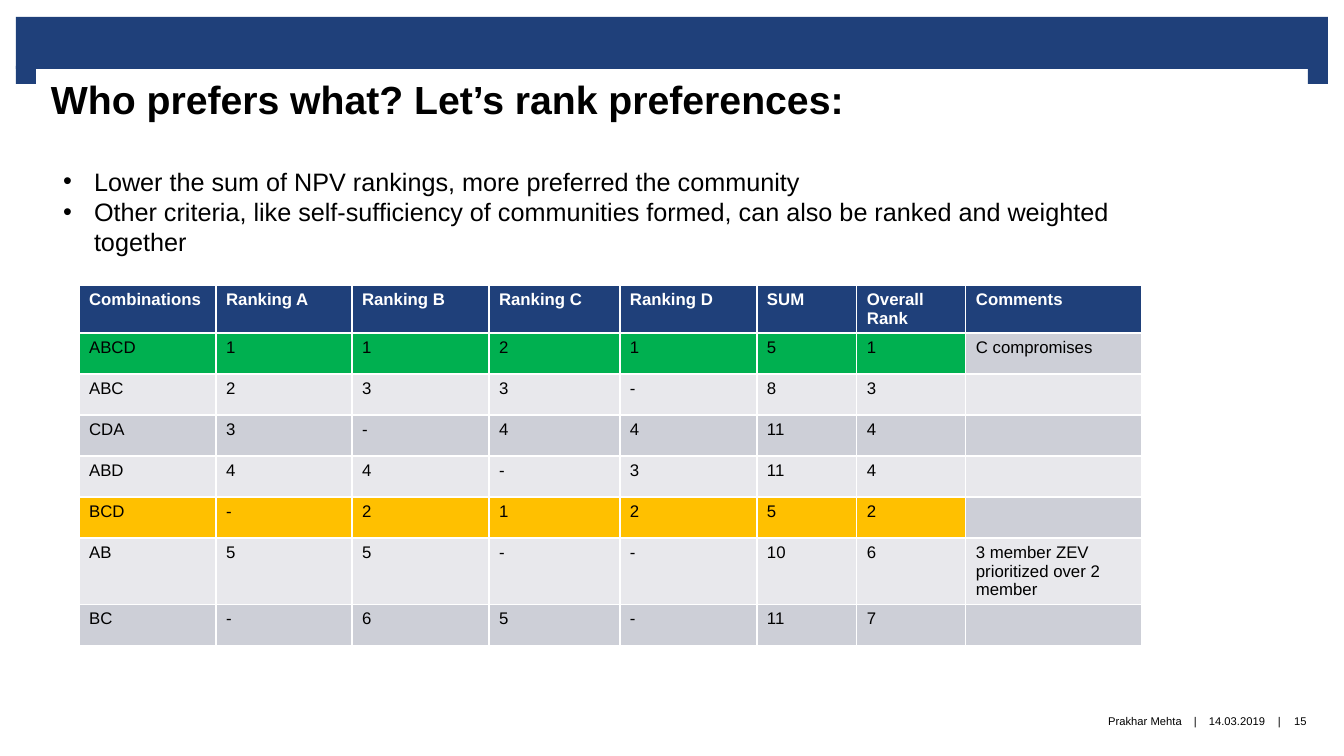
import pptx
import pptx.dml.color
import pptx.enum.shapes
import pptx.enum.text
import pptx.oxml.ns
import pptx.util
from lxml import etree

RGBColor = pptx.dml.color.RGBColor
Align = pptx.enum.text.PP_ALIGN
Anchor = pptx.enum.text.MSO_ANCHOR

NAVY = RGBColor(0x1F, 0x40, 0x7A)
GREEN = RGBColor(0x00, 0xB0, 0x50)
AMBER = RGBColor(0xFF, 0xC0, 0x00)
DARK_BAND = RGBColor(0xCD, 0xCF, 0xD7)
LIGHT_BAND = RGBColor(0xE8, 0xE8, 0xEC)
WHITE = RGBColor(0xFF, 0xFF, 0xFF)
BLACK = RGBColor(0x00, 0x00, 0x00)

PX_PER_INCH = 100.8
SLIDE_WIDTH, SLIDE_HEIGHT = 1344, 756

HEADINGS = ["Combinations", "Ranking A", "Ranking B", "Ranking C",
            "Ranking D", "SUM", "Overall Rank", "Comments"]
RANKINGS = [
    ["ABCD", "1", "1", "2", "1", "5", "1", "C compromises"],
    ["ABC", "2", "3", "3", "-", "8", "3", ""],
    ["CDA", "3", "-", "4", "4", "11", "4", ""],
    ["ABD", "4", "4", "-", "3", "11", "4", ""],
    ["BCD", "-", "2", "1", "2", "5", "2", ""],
    ["AB", "5", "5", "-", "-", "10", "6", "3 member ZEV prioritized over 2 member"],
    ["BC", "-", "6", "5", "-", "11", "7", ""],
]
HIGHLIGHTS = {"ABCD": GREEN, "BCD": AMBER}
COLUMN_WIDTHS = [137, 136, 137, 131, 137, 100, 109, 176]
ROW_HEIGHTS = [48, 41, 41, 41, 41, 41, 66, 41]
CRITERIA = [
    "Lower the sum of NPV rankings, more preferred the community",
    "Other criteria, like self-sufficiency of communities formed, "
    "can also be ranked and weighted together",
]


def px(length):
    """Turn pixels into EMU."""
    return pptx.util.Emu(round(length * 914400 / PX_PER_INCH))


def place(shape, box):
    """Move a shape to a box of left, top, width and height."""
    shape.left, shape.top, shape.width, shape.height = map(px, box)


def add_bullet(paragraph, indent):
    """Give a paragraph a hanging round bullet."""
    properties = paragraph._p.get_or_add_pPr()
    properties.set("marL", str(px(indent)))
    properties.set("indent", str(-px(indent)))
    font = etree.SubElement(properties, pptx.oxml.ns.qn("a:buFont"))
    font.set("typeface", "Arial")
    etree.SubElement(properties, pptx.oxml.ns.qn("a:buChar")).set("char", "•")


def write(frame, *lines, size, color=BLACK, bold=False, align=Align.LEFT,
          anchor=Anchor.TOP, insets=(10, 5, 10, 5), wrap=True, bullet_indent=0):
    """Fill a text frame with formatted paragraphs."""
    frame.word_wrap = wrap
    frame.auto_size = pptx.enum.text.MSO_AUTO_SIZE.NONE
    frame.vertical_anchor = anchor
    (frame.margin_left, frame.margin_top,
     frame.margin_right, frame.margin_bottom) = map(px, insets)
    for index, line in enumerate(lines):
        paragraph = frame.add_paragraph() if index else frame.paragraphs[0]
        paragraph.alignment = align
        paragraph.line_spacing = 1.0
        paragraph.space_before = paragraph.space_after = pptx.util.Pt(0)
        if bullet_indent:
            add_bullet(paragraph, bullet_indent)
        run = paragraph.add_run()
        run.text = line
        run.font.name = "Arial"
        run.font.size = pptx.util.Pt(size)
        run.font.bold = bold
        run.font.color.rgb = color


def draw_banner(slide, box):
    """Draw the top band with a tab below each end."""
    left, top, width, height = box
    band, tab_width, tab_height = 52, 20, 18
    tab_top = top + height - tab_height
    bars = [
        (left, top, width, band),
        (left, tab_top, tab_width, tab_height),
        (left + width - tab_width, tab_top, tab_width, tab_height),
    ]
    for bar_box in bars:
        bar = slide.shapes.add_shape(
            pptx.enum.shapes.MSO_SHAPE.RECTANGLE, *map(px, bar_box))
        bar.shadow.inherit = False
        bar.fill.solid()
        bar.fill.fore_color.rgb = NAVY
        bar.line.fill.background()


def fill_title(slide, box):
    """Place and fill the title."""
    title = slide.shapes.title
    place(title, box)
    title.fill.solid()
    title.fill.fore_color.rgb = WHITE
    write(title.text_frame, "Who prefers what? Let’s rank preferences:",
          size=28, bold=True, insets=(16, 6, 16, 0))


def fill_criteria(slide, box):
    """Place and fill the bulleted list."""
    criteria = slide.placeholders[1]
    place(criteria, box)
    write(criteria.text_frame, *CRITERIA, size=18, bullet_indent=31)


def draw_rankings(slide, box):
    """Draw the table of rankings."""
    rows = [HEADINGS] + RANKINGS
    table = slide.shapes.add_table(
        len(rows), len(HEADINGS), *map(px, box)).table
    for column, width in zip(table.columns, COLUMN_WIDTHS):
        column.width = px(width)
    for row_index, (values, height) in enumerate(zip(rows, ROW_HEIGHTS)):
        table.rows[row_index].height = px(height)
        is_heading = row_index == 0
        band = DARK_BAND if row_index % 2 else LIGHT_BAND
        for column_index, value in enumerate(values):
            is_comment = column_index == len(HEADINGS) - 1
            cell = table.cell(row_index, column_index)
            cell.fill.solid()
            if is_heading:
                cell.fill.fore_color.rgb = NAVY
            elif is_comment:
                cell.fill.fore_color.rgb = band
            else:
                cell.fill.fore_color.rgb = HIGHLIGHTS.get(values[0], band)
            write(cell.text_frame, value, size=12, bold=is_heading,
                  color=WHITE if is_heading else BLACK)


def draw_footer(slide, box):
    """Write author, date and slide number with bars between them."""
    left, top, width, height = box
    parts = [
        ("Prakhar Mehta", 0, 511, Align.RIGHT),
        ("|", 517, 15, Align.CENTER),
        ("14.03.2019", 532, 68, Align.CENTER),
        ("|", 601, 15, Align.CENTER),
        ("15", 610, width - 610, Align.CENTER),
    ]
    for text, offset, part_width, align in parts:
        part = slide.shapes.add_textbox(
            *map(px, (left + offset, top, part_width, height)))
        write(part.text_frame, text, size=8, align=align,
              anchor=Anchor.MIDDLE, insets=(0, 0, 0, 0), wrap=False)


def build_ranking_slide(deck):
    """Add the slide that ranks the preferences."""
    slide = deck.slides.add_slide(deck.slide_layouts[1])
    fill_title(slide, (35, 69, 1272, 106))
    fill_criteria(slide, (53, 161, 1115, 102))
    draw_banner(slide, (16, 17, 1312, 67))
    draw_rankings(slide, (79, 285, sum(COLUMN_WIDTHS), sum(ROW_HEIGHTS)))
    draw_footer(slide, (671, 695, 649, 51))


def main():
    """Build and save the deck."""
    deck = pptx.Presentation()
    deck.slide_width, deck.slide_height = px(SLIDE_WIDTH), px(SLIDE_HEIGHT)
    build_ranking_slide(deck)
    deck.save("out.pptx")


if __name__ == "__main__":
    main()
